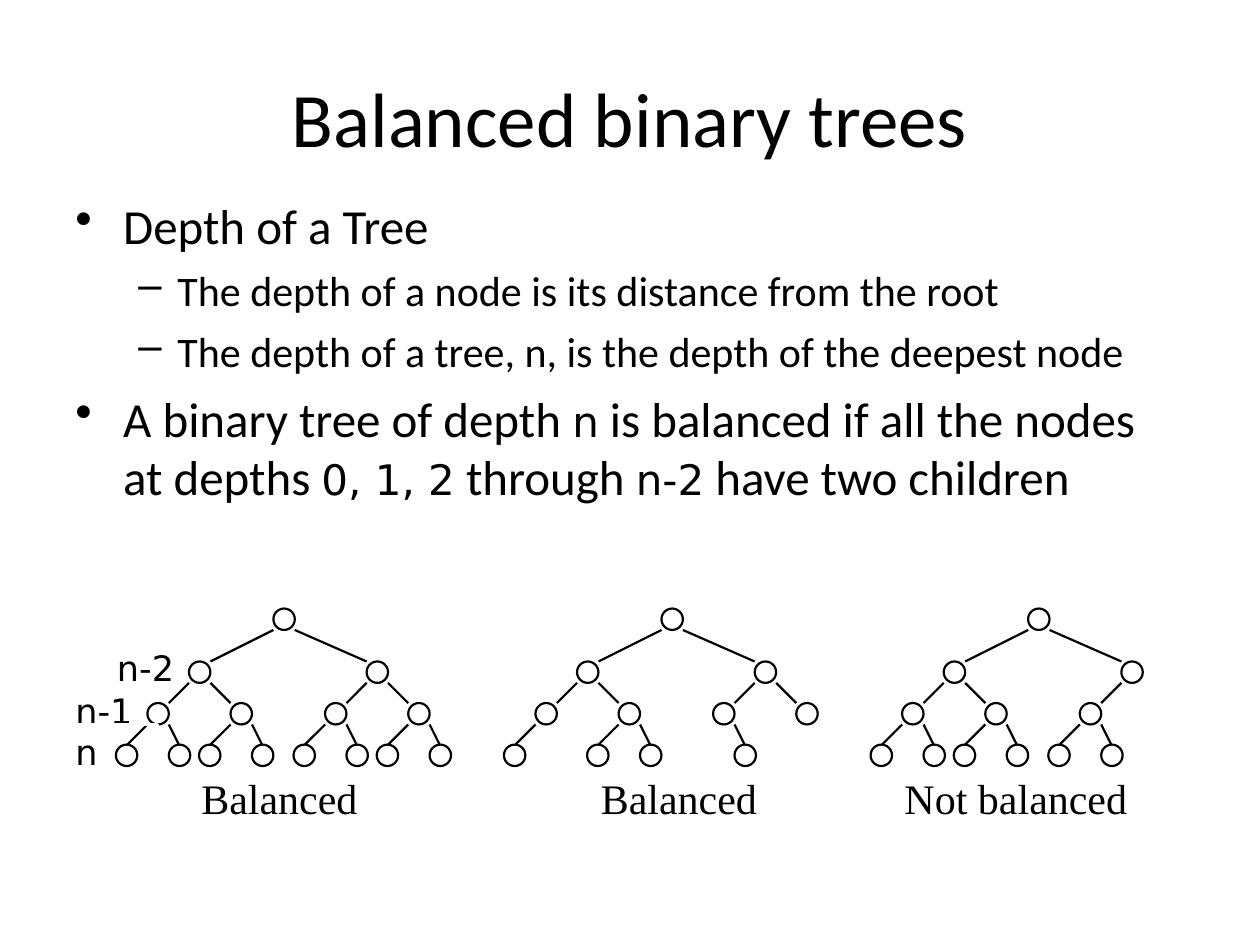
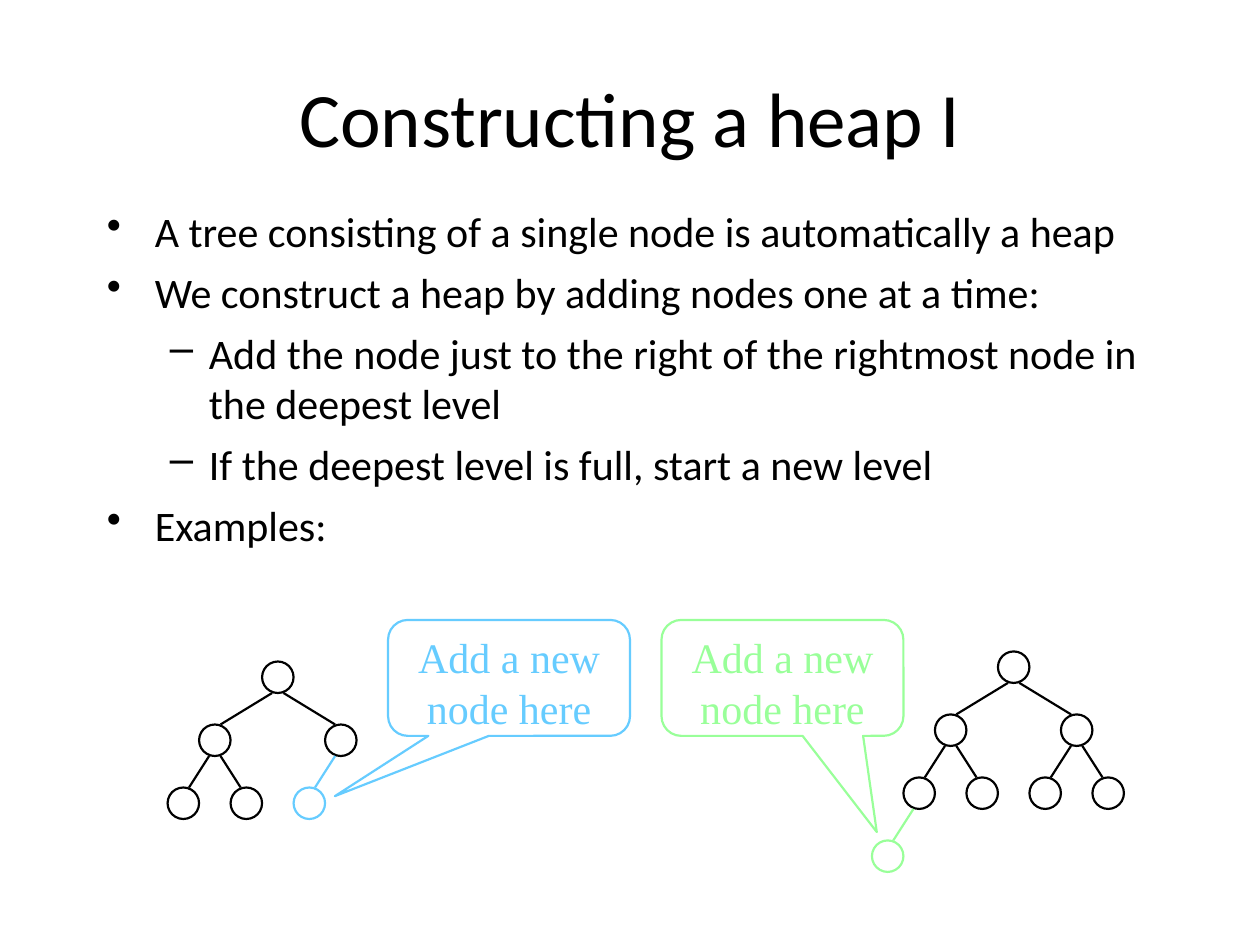
from dataclasses import dataclass
from itertools import product

from pptx import Presentation
from pptx.dml.color import RGBColor
from pptx.enum.shapes import MSO_CONNECTOR, MSO_SHAPE
from pptx.enum.text import MSO_ANCHOR, MSO_AUTO_SIZE, PP_ALIGN
from pptx.oxml.ns import qn
from pptx.slide import Slide
from pptx.util import Inches, Pt

STRAIGHT = MSO_CONNECTOR.STRAIGHT
OVAL = MSO_SHAPE.OVAL
CALLOUT = MSO_SHAPE.ROUNDED_RECTANGULAR_CALLOUT
TOP, MIDDLE = MSO_ANCHOR.TOP, MSO_ANCHOR.MIDDLE
CENTER = PP_ALIGN.CENTER
NO_AUTOSIZE = MSO_AUTO_SIZE.NONE

BLACK = RGBColor(0x00, 0x00, 0x00)
WHITE = RGBColor(0xFF, 0xFF, 0xFF)
SKY = RGBColor(0x66, 0xCC, 0xFF)
MINT = RGBColor(0x99, 0xFF, 0x99)

LINE_WIDTH = Pt(1.25)
TITLE_ONLY = 5

# Text formats
TITLE_FONT = {"name": "Calibri", "size": Pt(44)}
LARGE_FONT = {"name": "Calibri", "size": Pt(28)}
BODY_FONT = {"name": "Calibri", "size": Pt(24)}
SYMBOL_FONT = {"name": "DejaVu Sans", "size": Pt(24)}
DEPTH_FONT = {"name": "DejaVu Sans", "size": Pt(20)}
CAPTION_FONT = {"name": "Times New Roman", "size": Pt(24)}

# Bullet character, left margin and hanging indent by level
BULLETS = (("•", 0.38, -0.38), ("–", 0.81, -0.31))


@dataclass(frozen=True)
class Item:
    """A bulleted paragraph made of (text, font) runs."""
    level: int
    runs: tuple
    space_before: float = 6


@dataclass(frozen=True)
class TreeStyle:
    """Node size, and the step to the children at each depth, in inches."""
    node: float
    steps: tuple  # (left offset, right offset, drop)
    parent_inset: float
    child_insets: tuple


@dataclass(frozen=True)
class Tree:
    """Each node is named by its path of L and R turns from the root."""
    left: float
    top: float
    nodes: tuple
    new_node: str = "none"
    new_color: RGBColor = BLACK


@dataclass(frozen=True)
class Callout:
    left: float
    adjustments: tuple
    color: RGBColor


@dataclass(frozen=True)
class Label:
    text: str
    left: float
    top: float
    width: float
    height: float
    font: dict
    outlined: bool = False


def add_run(paragraph, text: str, font: dict, color: RGBColor = BLACK) -> None:
    run = paragraph.add_run()
    run.text = text
    for name, value in font.items():
        setattr(run.font, name, value)
    run.font.color.rgb = color


def add_title_slide(presentation, title: str) -> Slide:
    slide = presentation.slides.add_slide(presentation.slide_layouts[TITLE_ONLY])
    shape = slide.shapes.title
    shape.left, shape.top = Inches(0.5), Inches(0.3)
    shape.width, shape.height = Inches(9), Inches(1.25)
    frame = shape.text_frame
    frame.auto_size = NO_AUTOSIZE
    frame.vertical_anchor = MIDDLE
    paragraph = frame.paragraphs[0]
    paragraph.alignment = CENTER
    add_run(paragraph, title, TITLE_FONT)
    return slide


def add_bullets(slide: Slide, box: tuple, items: tuple) -> None:
    frame = slide.shapes.add_textbox(*map(Inches, box)).text_frame
    frame.word_wrap = True
    for index, item in enumerate(items):
        paragraph = frame.add_paragraph() if index else frame.paragraphs[0]
        character, margin, indent = BULLETS[item.level]
        properties = paragraph._p.get_or_add_pPr()
        properties.set("marL", str(Inches(margin)))
        properties.set("indent", str(Inches(indent)))
        bullet = properties.makeelement(qn("a:buChar"), {"char": character})
        properties.append(bullet)
        paragraph.level = item.level
        if index:
            paragraph.space_before = Pt(item.space_before)
        for text, font in item.runs:
            add_run(paragraph, text, font)


def add_outline(slide: Slide, preset, box: tuple, color: RGBColor):
    shape = slide.shapes.add_shape(preset, *map(Inches, box))
    shape.shadow.inherit = False
    shape.fill.background()
    shape.line.color.rgb = color
    shape.line.width = LINE_WIDTH
    return shape


def add_edge(slide: Slide, ends: tuple, color: RGBColor) -> None:
    edge = slide.shapes.add_connector(STRAIGHT, *map(Inches, ends))
    edge.line.color.rgb = color
    edge.line.width = LINE_WIDTH
    properties = edge._element.spPr
    properties.append(properties.makeelement(qn("a:effectLst"), {}))


def locate(tree: Tree, style: TreeStyle, path: str) -> tuple[float, float]:
    left, top = tree.left, tree.top
    for turn, (left_step, right_step, drop) in zip(path, style.steps):
        left += left_step if turn == "L" else right_step
        top += drop
    return left, top


def add_tree(slide: Slide, tree: Tree, style: TreeStyle) -> None:
    size = style.node
    for path in tree.nodes:
        color = tree.new_color if path == tree.new_node else BLACK
        left, top = locate(tree, style, path)
        add_outline(slide, OVAL, (left, top, size, size), color)
        if not path:
            continue
        # The edge joins facing sides of the child and its parent
        parent_left, parent_top = locate(tree, style, path[:-1])
        child_inset = style.child_insets[len(path) - 1]
        if path.endswith("L"):
            child_x = left + size - child_inset
            parent_x = parent_left + style.parent_inset
        else:
            child_x = left + child_inset
            parent_x = parent_left + size - style.parent_inset
        add_edge(slide, (child_x, top, parent_x, parent_top + size), color)


def add_label(slide: Slide, label: Label) -> None:
    box = (label.left, label.top, label.width, label.height)
    shape = slide.shapes.add_textbox(*map(Inches, box))
    shape.text_frame.word_wrap = True
    add_run(shape.text_frame.paragraphs[0], label.text, label.font)
    if label.outlined:
        shape.line.color.rgb = WHITE
        shape.line.width = LINE_WIDTH


def add_callout(slide: Slide, callout: Callout) -> None:
    box = (callout.left, 4.92, 1.92, 0.92)
    shape = add_outline(slide, CALLOUT, box, callout.color)
    for index, value in enumerate(callout.adjustments):
        shape.adjustments[index] = value
    frame = shape.text_frame
    frame.word_wrap = True
    frame.vertical_anchor = TOP
    paragraph = frame.paragraphs[0]
    paragraph.alignment = CENTER
    add_run(paragraph, "Add a new node here", CAPTION_FONT, callout.color)


def full_tree(depth: int) -> tuple:
    return tuple("".join(turns) for level in range(depth + 1)
                 for turns in product("LR", repeat=level))


def without(*missing: str) -> tuple:
    return tuple(path for path in full_tree(3) if path not in missing)


# Balanced trees: content
BALANCE_STYLE = TreeStyle(
    0.17, ((-0.67, 0.74, 0.42), (-0.33, 0.33, 0.33), (-0.25, 0.17, 0.33)),
    0, (0, 0, 0.08))
BALANCE_ITEMS = (
    Item(0, (("Depth of a Tree", LARGE_FONT),)),
    Item(1, (("The depth of a node is its distance from the root", BODY_FONT),)),
    Item(1, (("The depth of a tree, n, is the depth of the deepest node", BODY_FONT),)),
    Item(0, (("A binary tree of depth ", LARGE_FONT), ("n", SYMBOL_FONT),
             (" is balanced if all the nodes at depths ", LARGE_FONT),
             ("0, 1, 2", SYMBOL_FONT), (" through ", LARGE_FONT),
             ("n-2", SYMBOL_FONT), (" have two children", LARGE_FONT)), 7),
)
BALANCE_TREES = (
    Tree(2.17, 4.83, full_tree(3)),
    Tree(5.25, 4.83, without("LLR", "RLL", "RRL", "RRR")),
    Tree(8.16, 4.83, without("RR", "RRL", "RRR")),
)
BALANCE_LABELS = (
    Label("Balanced", 1.5, 6.08, 1.5, 0.5, CAPTION_FONT),
    Label("Balanced", 4.67, 6.08, 1.58, 0.5, CAPTION_FONT),
    Label("Not balanced", 7.08, 6.08, 2.08, 0.5, CAPTION_FONT),
    Label("n-2", 0.83, 5.08, 0.75, 0.44, DEPTH_FONT),
    Label("n-1", 0.5, 5.42, 0.75, 0.44, DEPTH_FONT),
    Label("n", 0.5, 5.75, 0.75, 0.44, DEPTH_FONT, True),
)

# Heap construction: content
HEAP_STYLE = TreeStyle(
    0.25, ((-0.5, 0.5, 0.5), (-0.25, 0.25, 0.5), (-0.25, 0.25, 0.5)),
    0.08, (0.08, 0.08, 0.08))
HEAP_ITEMS = tuple(Item(level, ((text, BODY_FONT),)) for level, text in (
    (0, "A tree consisting of a single node is automatically a heap"),
    (0, "We construct a heap by adding nodes one at a time:"),
    (1, "Add the node just to the right of the rightmost node in the deepest level"),
    (1, "If the deepest level is full, start a new level"),
    (0, "Examples:"),
))
HEAP_TREES = (
    Tree(2.08, 5.25, full_tree(1) + ("LL", "LR", "RL"), "RL", SKY),
    Tree(7.92, 5.17, full_tree(2) + ("LLL",), "LLL", MINT),
)
HEAP_CALLOUTS = (
    Callout(3.08, (-0.72, 1.02, 0.17), SKY),
    Callout(5.25, (0.39, 1.33, 0.17), MINT),
)


def build_balanced_trees(presentation) -> None:
    slide = add_title_slide(presentation, "Balanced binary trees")
    add_bullets(slide, (0.5, 1.5, 9, 2.67), BALANCE_ITEMS)
    for tree in BALANCE_TREES:
        add_tree(slide, tree, BALANCE_STYLE)
    for label in BALANCE_LABELS:
        add_label(slide, label)


def build_heap(presentation) -> None:
    slide = add_title_slide(presentation, "Constructing a heap I")
    add_bullets(slide, (0.75, 1.58, 8.58, 3.83), HEAP_ITEMS)
    for tree in HEAP_TREES:
        add_tree(slide, tree, HEAP_STYLE)
    for callout in HEAP_CALLOUTS:
        add_callout(slide, callout)


def main() -> None:
    presentation = Presentation()
    presentation.slide_width = Inches(10)
    presentation.slide_height = Inches(7.5)
    build_balanced_trees(presentation)
    build_heap(presentation)
    presentation.save("out.pptx")


if __name__ == "__main__":
    main()
